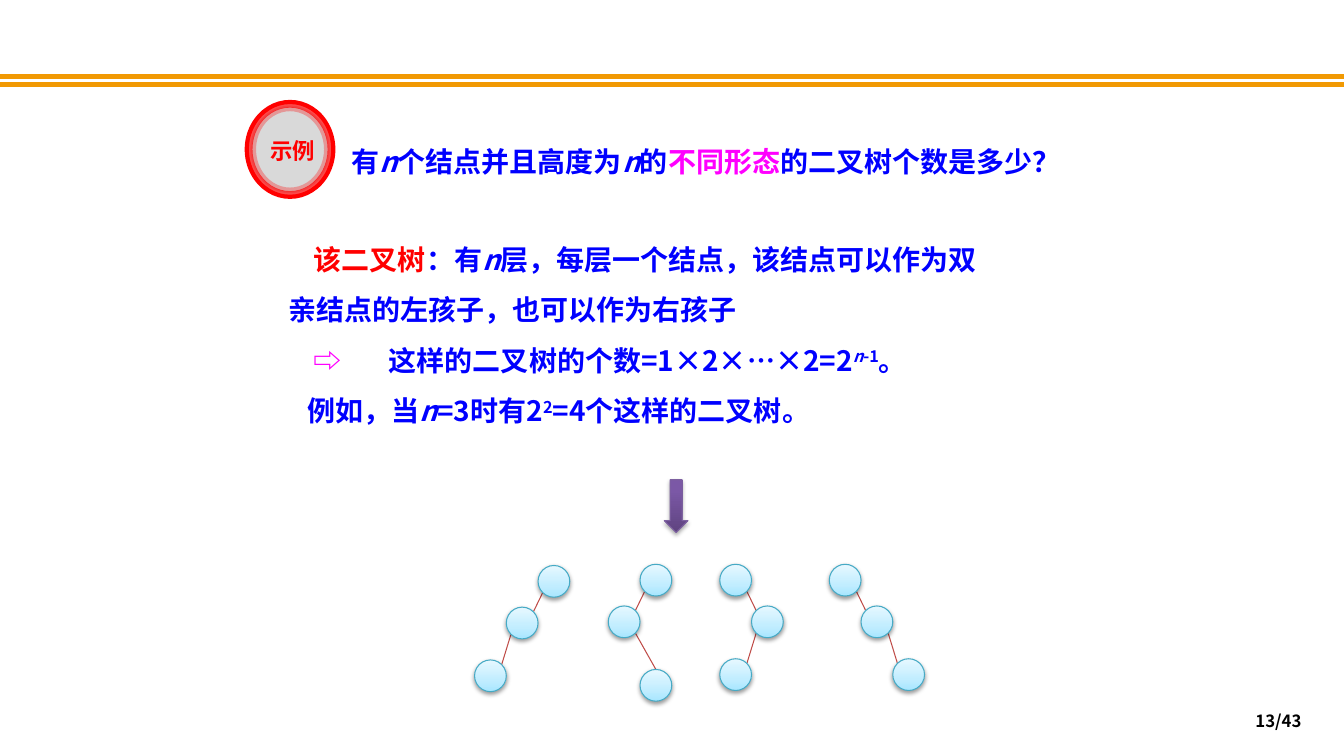
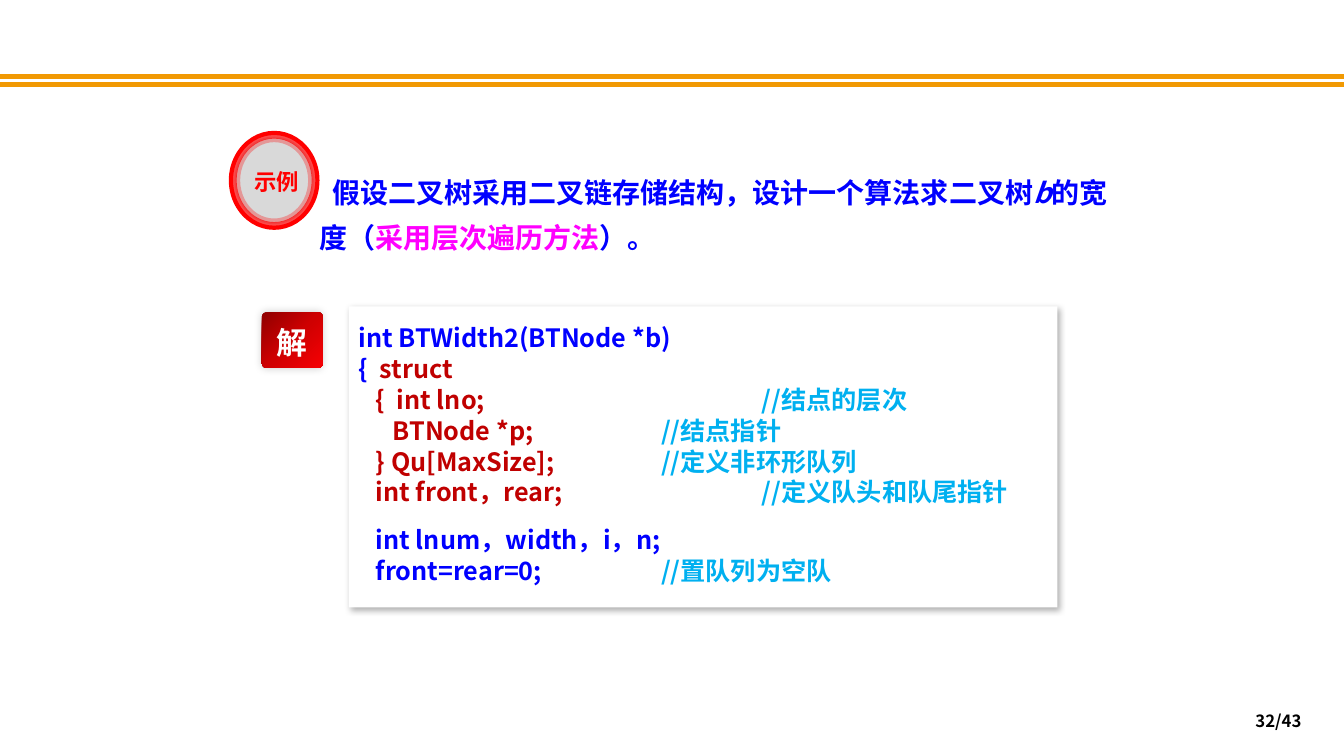
import math

import pptx
import pptx.dml.color
import pptx.enum.shapes
import pptx.enum.text
import pptx.oxml.ns
import pptx.util
from lxml import etree
from pptx.util import Cm

SHAPES = pptx.enum.shapes.MSO_SHAPE
ALIGN = pptx.enum.text.PP_ALIGN
ANCHOR = pptx.enum.text.MSO_ANCHOR
qualified = pptx.oxml.ns.qn

BLUE, RED, MAGENTA = "0000FF", "FF0000", "FF00FF"
CRIMSON, CYAN, GOLD = "C00000", "00B0F0", "F19903"
WHITE, BLACK = "FFFFFF", "000000"

ITALIC = {"italic": True}
RAISED = {"raised": True}
ACCENT = {"color": MAGENTA}
COMMENT = {"color": CYAN}

NODE_SIZE = 0.8
NODE_GRADIENT = ((0, "A7E6FF"), (35, "C1EDFF"), (100, "E7F8FF"))
ARROW_GRADIENT = ((0, "5F4480"), (80, "7B58A6"), (100, "7C57A8"))
SOLUTION_GRADIENT = ((0, "8F0000"), (50, "CF0001"), (100, "F60004"))


def rgb(value):
    return pptx.dml.color.RGBColor.from_string(value)


def add_element(parent, tag, **attributes):
    element = etree.SubElement(parent, qualified(tag))
    for name, value in attributes.items():
        element.set(name, str(value))
    return element


def rim_point(node, side, vertical):
    length = math.hypot(side, vertical)
    radius = NODE_SIZE / 2
    return tuple(corner + radius * (1 + direction / length)
                 for corner, direction in zip(node, (side, vertical)))


class Deck:
    font_name = "Noto Sans CJK SC"
    page_count = 43

    def __init__(self):
        self.presentation = pptx.Presentation()
        self.presentation.slide_width = Cm(33.87)
        self.presentation.slide_height = Cm(19.05)
        self.slide = None

    def new_slide(self, page):
        layout = self.presentation.slide_layouts[6]
        self.slide = self.presentation.slides.add_slide(layout)
        for top in (1.93, 2.13):
            self.line((0, top), (33.87, top), GOLD, 3)
        frame = self.text_box(25.15, 17.65, 7.9, 1.02)
        frame.vertical_anchor = ANCHOR.MIDDLE
        self.paragraph(frame, [f"{page}/{self.page_count}"], 12, BLACK,
                       align=ALIGN.RIGHT)

    def line(self, start, end, color, width):
        connector = self.slide.shapes.add_connector(
            pptx.enum.shapes.MSO_CONNECTOR.STRAIGHT,
            *(Cm(value) for value in (*start, *end)))
        connector.line.color.rgb = rgb(color)
        connector.line.width = pptx.util.Pt(width)
        add_element(connector._element.spPr, "a:effectLst")

    def shape(self, kind, left, top, width, height, fill=None, line=None,
              line_width=0.75, line_opacity=100):
        shape = self.slide.shapes.add_shape(
            kind, Cm(left), Cm(top), Cm(width), Cm(height))
        shape.shadow.inherit = False
        if fill:
            shape.fill.solid()
            shape.fill.fore_color.rgb = rgb(fill)
        else:
            shape.fill.background()
        if line:
            shape.line.color.rgb = rgb(line)
            shape.line.width = pptx.util.Pt(line_width)
            if line_opacity < 100:
                color = shape.line._ln.find(".//" + qualified("a:srgbClr"))
                add_element(color, "a:alpha", val=line_opacity * 1000)
        else:
            shape.line.fill.background()
        return shape

    def gradient(self, shape, stops, angle):
        shape.fill.gradient()
        shape.fill.gradient_angle = angle
        stop_list = shape._element.spPr.find(".//" + qualified("a:gsLst"))
        for stop in list(stop_list):
            stop_list.remove(stop)
        for position, color in stops:
            stop = add_element(stop_list, "a:gs", pos=position * 1000)
            add_element(stop, "a:srgbClr", val=color)

    def shadow(self, shape, opacity, blur, distance, angle):
        effects = shape._element.spPr.find(qualified("a:effectLst"))
        shadow = add_element(
            effects, "a:outerShdw", blurRad=pptx.util.Pt(blur),
            dist=pptx.util.Pt(distance), dir=angle * 60000, rotWithShape=0)
        color = add_element(shadow, "a:srgbClr", val=BLACK)
        add_element(color, "a:alpha", val=opacity * 1000)

    def text_box(self, left, top, width, height):
        box = self.slide.shapes.add_textbox(
            Cm(left), Cm(top), Cm(width), Cm(height))
        box.text_frame.word_wrap = True
        return box.text_frame

    def paragraph(self, frame, runs, size, color, align=ALIGN.LEFT,
                  spacing=None, before=0, indent=0, tab=None):
        paragraph = frame.paragraphs[0]
        if paragraph.runs:
            paragraph = frame.add_paragraph()
        paragraph.alignment = align
        if spacing:
            paragraph.line_spacing = spacing
        if before:
            paragraph.space_before = pptx.util.Pt(before)
        properties = paragraph._p.get_or_add_pPr()
        if indent:
            properties.set("indent", str(Cm(indent)))
        if tab:
            tabs = add_element(properties, "a:tabLst")
            add_element(tabs, "a:tab", pos=Cm(tab), algn="l")
        font = paragraph.font
        font.name = self.font_name
        font.size = pptx.util.Pt(size)
        font.bold = True
        font.color.rgb = rgb(color)
        add_element(properties.find(qualified("a:defRPr")), "a:ea",
                    typeface=self.font_name)
        for item in runs:
            text, style = (item, {}) if isinstance(item, str) else item
            run = paragraph.add_run()
            run.text = text
            if "color" in style:
                run.font.color.rgb = rgb(style["color"])
            if "italic" in style:
                run.font.italic = True
            if "raised" in style:
                run._r.get_or_add_rPr().set("baseline", "30000")

    def example_badge(self, left, top):
        rings = (("F8F8F8", 100), ("D9D9D9", 70), (None, 30))
        for index, (fill, opacity) in enumerate(rings):
            inset = 0.09 * index
            self.shape(SHAPES.OVAL, left + inset, top + inset,
                       2.18 - 2 * inset, 2.39 - 2 * inset,
                       fill, RED, 3, opacity)
        frame = self.text_box(left + 0.23, top + 0.69, 1.85, 1.02)
        self.paragraph(frame, ["示例"], 16, RED, ALIGN.CENTER, 1.1)

    def tree(self, root, steps):
        nodes = [root]
        for side, drop, entry in steps:
            left, top = nodes[-1]
            child = (left + side * NODE_SIZE, top + drop)
            self.line(rim_point(nodes[-1], side, 1),
                      rim_point(child, entry, -1), "BF4C48", 0.75)
            nodes.append(child)
        for node in nodes:
            circle = self.shape(SHAPES.OVAL, *node, NODE_SIZE, NODE_SIZE,
                                line="46AAC5")
            self.gradient(circle, NODE_GRADIENT, 90)
            self.shadow(circle, 38, 3.1, 1.6, 90)

    def down_arrow(self, left, top):
        arrow = self.shape(SHAPES.DOWN_ARROW, left, top, 0.6, 1.33,
                           line="7D60A0")
        self.gradient(arrow, ARROW_GRADIENT, 90)
        self.shadow(arrow, 35, 3.1, 1.8, 90)

    def solution_badge(self, left, top):
        badge = self.shape(SHAPES.ROUNDED_RECTANGLE, left, top, 1.53, 1.4)
        badge.adjustments[0] = 0.08
        self.gradient(badge, SOLUTION_GRADIENT, 315)
        self.shadow(badge, 20, 6, 0, 225)
        frame = badge.text_frame
        frame.word_wrap = False
        frame.vertical_anchor = ANCHOR.MIDDLE
        self.paragraph(frame, ["解"], 22, WHITE, ALIGN.CENTER, 1.1)

    def code_box(self, left, top, width, height, lines):
        box = self.shape(SHAPES.RECTANGLE, left, top, width, height, WHITE)
        self.shadow(box, 30, 4.5, 2.6, 53)
        frame = box.text_frame
        frame.word_wrap = True
        frame.vertical_anchor = ANCHOR.TOP
        frame.margin_top, frame.margin_bottom = Cm(0.4), Cm(0.5)
        for runs, color, options in lines:
            self.paragraph(frame, runs, 18, color,
                           spacing=pptx.util.Pt(22), **options)


def build_counting_slide(deck):
    deck.new_slide(13)
    frame = deck.text_box(7.01, 5.56, 18.47, 5.38)
    deck.paragraph(frame, [
        ("该二叉树", {"color": RED}), "：有", ("n", ITALIC),
        "层，每层一个结点，该结点可以作为双亲结点的左孩子，也可以作为右孩子",
    ], 20, BLUE, spacing=1.5, indent=0.65)
    deck.paragraph(frame, [
        ("⇨\t", ACCENT), "这样的二叉树的个数=1×2×…×2=2",
        ("n", {**ITALIC, **RAISED}), ("-1", RAISED), "。",
    ], 20, BLUE, spacing=1.5, indent=0.65, tab=1.65)
    deck.paragraph(frame, [
        "例如，当", ("n", ITALIC), "=3时有2", ("2", RAISED),
        "=4个这样的二叉树。",
    ], 20, BLUE, spacing=1.5, indent=0.48)

    deck.down_arrow(16.74, 12.09)
    left_step, right_step = (-1, 1.05, 1), (1, 1.05, -1)
    left_leaf, right_leaf = (-1, 1.33, 1), (1, 1.33, -1)
    deck.tree((13.56, 14.25), [left_step, left_leaf])
    deck.tree((16.13, 14.22), [left_step, (1, 1.6, 0)])
    deck.tree((18.14, 14.22), [right_step, left_leaf])
    deck.tree((20.9, 14.22), [right_step, right_leaf])

    frame = deck.text_box(8.61, 3.3, 20.65, 1.32)
    deck.paragraph(frame, [
        "有", ("n", ITALIC), "个结点并且高度为", ("n", ITALIC), "的",
        ("不同形态", ACCENT), "的二叉树个数是多少？",
    ], 20, BLUE, spacing=pptx.util.Pt(30))
    deck.example_badge(6.22, 2.57)


def build_width_slide(deck):
    deck.new_slide(32)
    near, far = {"tab": 7.62}, {"tab": 10.16}
    deck.code_box(8.79, 7.72, 17.86, 7.59, [
        (["int BTWidth2(BTNode *b)"], BLUE, {}),
        (["{ ", (" struct", {"color": CRIMSON})], BLUE, {}),
        (["   {  int lno;\t", ("//结点的层次", COMMENT)], CRIMSON, far),
        (["      BTNode *p;\t", ("//结点指针", COMMENT)], CRIMSON, near),
        (["   } Qu[MaxSize];\t", ("//定义非环形队列", COMMENT)],
         CRIMSON, near),
        (["   int front，rear;\t", ("//定义队头和队尾指针", COMMENT)],
         CRIMSON, far),
        (["   int lnum，width，i，n;"], BLUE, {"before": 12}),
        (["   front=rear=0;\t", ("//置队列为空队", COMMENT)], BLUE, near),
    ])
    frame = deck.text_box(7.8, 4.01, 20.65, 2.54)
    deck.paragraph(frame, [
        "假设二叉树采用二叉链存储结构，设计一个算法求二叉树",
        ("b", ITALIC), "的宽度（", ("采用层次遍历方法", ACCENT), "）。",
    ], 20, BLUE, spacing=pptx.util.Pt(32), indent=0.32)
    deck.example_badge(5.82, 3.35)
    deck.solution_badge(6.6, 7.87)


def main():
    deck = Deck()
    build_counting_slide(deck)
    build_width_slide(deck)
    deck.presentation.save("out.pptx")


if __name__ == "__main__":
    main()
